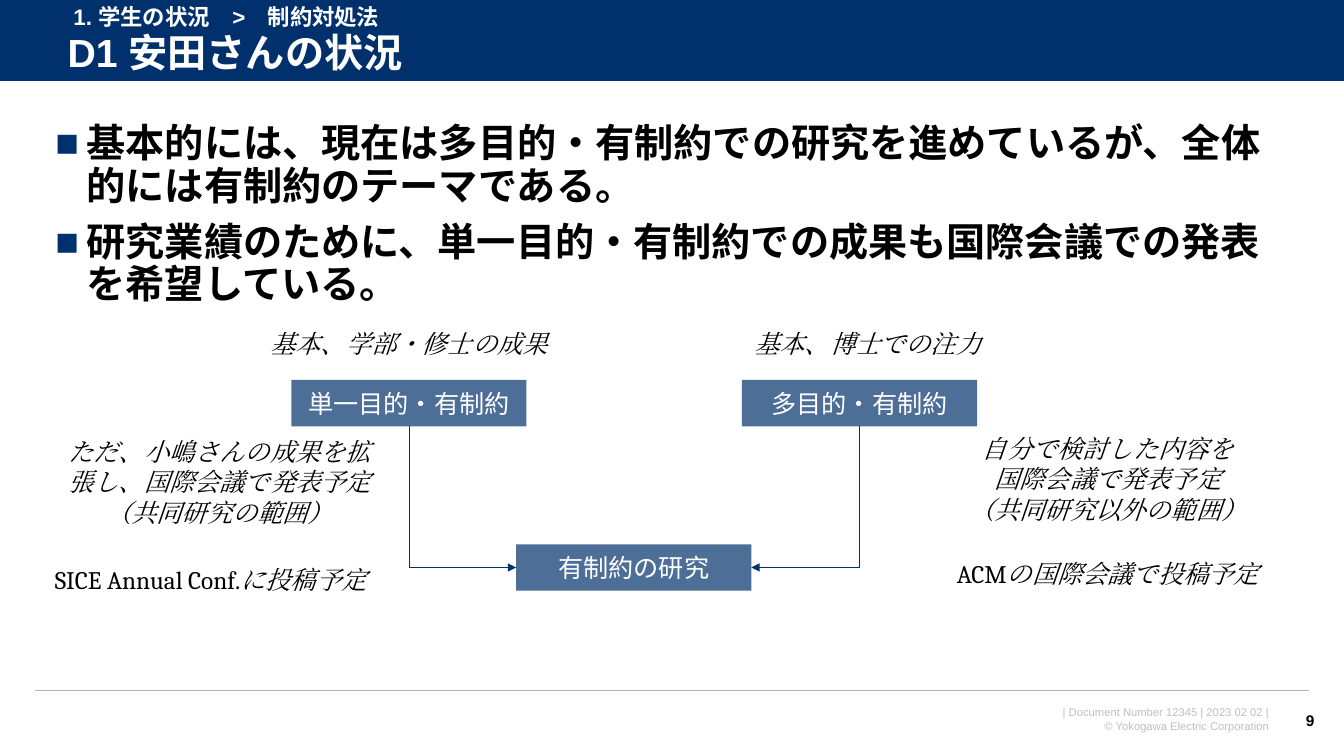
from lxml import etree
from pptx import Presentation
from pptx import util as u
from pptx.dml.color import RGBColor
from pptx.enum import shapes, text
from pptx.oxml import ns

NAVY = RGBColor(0x00, 0x31, 0x6C)
WHITE = RGBColor(0xFF, 0xFF, 0xFF)
BLACK = RGBColor(0, 0, 0)
RULE_GREY = RGBColor(0xB2, 0xB2, 0xB2)
FOOTER_GREY = RGBColor(0xBF, 0xBF, 0xBF)

# The slide is a grid of square cells, 40 columns by 22.5 rows
COLUMNS, ROWS = 40, 22.5
CELL = u.Inches(13.333) / COLUMNS
BOX_WIDTH, BOX_HEIGHT = 7, 1.38
NOTE_WIDTH, NOTE_ROW = 10.26, 1.2
CAPTION_WIDTH = 8.7


def grid(*cells):
    return [u.Emu(round(cell * CELL)) for cell in cells]


def add_xml(parent, tag, **attributes):
    return etree.SubElement(parent, ns.qn(tag), **attributes)


def add_bullet(paragraph, indent):
    properties = paragraph._p.get_or_add_pPr()
    properties.set("marL", str(indent))
    properties.set("indent", str(-indent))
    add_xml(add_xml(properties, "a:buClr"), "a:srgbClr", val=str(NAVY))
    add_xml(properties, "a:buFont", typeface="Arial")
    add_xml(properties, "a:buChar", char="■")


def write(shape, paragraphs, size=18, font="Arial", color=BLACK, bold=False,
          italic=False, align=text.PP_ALIGN.LEFT, anchor=text.MSO_ANCHOR.TOP,
          wrap=True, line_spacing=None, space_before=0, bullet=False):
    """Each paragraph is a string, or a list of (string, italic) runs."""
    frame = shape.text_frame
    frame.word_wrap = wrap
    frame.auto_size = text.MSO_AUTO_SIZE.NONE
    frame.vertical_anchor = anchor
    for index, content in enumerate(paragraphs):
        paragraph = frame.add_paragraph() if index else frame.paragraphs[0]
        if bullet:
            add_bullet(paragraph, u.Inches(0.31))
        paragraph.alignment = align
        paragraph.line_spacing = line_spacing
        paragraph.space_before = u.Pt(space_before if index else 0)
        runs = [(content, italic)] if isinstance(content, str) else content
        for words, slanted in runs:
            run = paragraph.add_run()
            run.text = words
            run.font.size = u.Pt(size)
            run.font.name = font
            run.font.color.rgb = color
            run.font.bold = bold
            run.font.italic = slanted
            # Japanese characters take the same font, which narrows the middle dot
            add_xml(run._r.get_or_add_rPr(), "a:ea", typeface=font)


def place(shape, *cells):
    shape.left, shape.top, shape.width, shape.height = grid(*cells)
    return shape


def add_text(slide, cells, paragraphs, **style):
    write(slide.shapes.add_textbox(*grid(*cells)), paragraphs, **style)


def add_note(slide, left, top, paragraphs, width=NOTE_WIDTH, wrap=True):
    add_text(slide, (left, top, width, NOTE_ROW * len(paragraphs)), paragraphs,
             font="Cambria", italic=True, align=text.PP_ALIGN.CENTER, wrap=wrap)


def add_rectangle(slide, *cells):
    shape = slide.shapes.add_shape(shapes.MSO_SHAPE.RECTANGLE, *grid(*cells))
    shape.shadow.inherit = False
    shape.fill.solid()
    shape.fill.fore_color.rgb = NAVY
    shape.line.fill.background()
    return shape


def add_topic(slide, left, top, label):
    topic = add_rectangle(slide, left, top, BOX_WIDTH, BOX_HEIGHT)
    color = topic.element.spPr.find(ns.qn("a:solidFill"))[0]
    add_xml(color, "a:alpha", val="70000")
    write(topic, [label], color=WHITE, align=text.PP_ALIGN.CENTER,
          anchor=text.MSO_ANCHOR.MIDDLE)
    return topic


def add_line(slide, ends, color, width, kind=shapes.MSO_CONNECTOR.STRAIGHT):
    line = slide.shapes.add_connector(kind, *ends)
    line.line.color.rgb = color
    line.line.width = u.Pt(width)
    add_xml(line.element.spPr, "a:effectLst")
    return line


def add_elbow_arrow(slide, source, target):
    """One bend: from the bottom of source to the facing side of target."""
    rightward = source.left < target.left
    start_x, start_y = source.left + source.width // 2, source.top + source.height
    end_x = target.left if rightward else target.left + target.width
    end_y = target.top + target.height // 2
    arrow = add_line(slide, (start_x, start_y, end_x, end_y), NAVY, 0.5,
                     shapes.MSO_CONNECTOR.ELBOW)
    arrow.begin_connect(source, 2)
    arrow.end_connect(target, 1 if rightward else 3)
    # A quarter turn swaps the frame's width and height around its centre
    across, down = abs(end_x - start_x), end_y - start_y
    arrow.left = u.Emu((start_x + end_x - down) // 2)
    arrow.top = u.Emu((start_y + end_y - across) // 2)
    arrow.width, arrow.height = u.Emu(down), u.Emu(across)
    properties = arrow.element.spPr
    frame = properties.find(ns.qn("a:xfrm"))
    frame.set("rot", str((270 if rightward else 90) * 60000))
    frame.set("flipH", "1" if rightward else "0")
    properties.find(ns.qn("a:prstGeom")).set("prst", "bentConnector2")
    add_xml(properties.find(ns.qn("a:ln")), "a:tailEnd", type="triangle")


def add_header(slide):
    title = slide.shapes.title
    band = add_rectangle(slide, 0, 0, COLUMNS, 2.43)
    edge = add_line(slide, grid(0, 2.43, COLUMNS, 2.43), WHITE, 0.75)
    for backdrop in (band, edge):
        title.element.addprevious(backdrop.element)
    write(place(title, 1.71, 0.78, 37.41, 1.71), ["D1 安田さんの状況"],
          size=28, color=WHITE, bold=True, line_spacing=0.9,
          anchor=text.MSO_ANCHOR.MIDDLE)
    add_text(slide, (1.89, -0.06, 14.85, 1.11), ["1. 学生の状況　>　制約対処法"],
             size=16, color=WHITE, bold=True)


def add_footer(slide):
    add_line(slide, grid(1.05, 20.55, 38.95, 20.55), RULE_GREY, 1)
    add_text(slide, (28.44, 20.85, 9.63, 1.11),
             ["| Document Number 12345 | 2023 02 02 |",
              "© Yokogawa Electric Corporation"],
             size=8, color=FOOTER_GREY, align=text.PP_ALIGN.RIGHT)
    add_text(slide, (38.1, 20.85, 1.32, 1.2), ["9"], size=11, bold=True,
             align=text.PP_ALIGN.RIGHT, anchor=text.MSO_ANCHOR.MIDDLE, wrap=False)


def add_diagram(slide):
    single = add_topic(slide, 8.67, 11.31, "単一目的・有制約")
    multiple = add_topic(slide, 22.08, 11.31, "多目的・有制約")
    research = add_topic(slide, 15.36, 16.2, "有制約の研究")
    for source in (single, multiple):
        add_elbow_arrow(slide, source, research)

    # One-line captions above the topics
    for left, caption in ((7.83, "基本、学部・修士の成果"), (21.48, "基本、博士での注力")):
        add_note(slide, left, 9.63, [caption], width=CAPTION_WIDTH, wrap=False)

    # Notes beside the arrows
    add_note(slide, 1.41, 12.84, ["ただ、小嶋さんの成果を拡張し、国際会議で発表予定",
                                  "（共同研究の範囲）"])
    add_note(slide, 1.14, 16.65, [[("SICE Annual Conf.", False), ("に投稿予定", True)]])
    add_note(slide, 27.84, 12.75, ["自分で検討した内容を", "国際会議で発表予定",
                                   "（共同研究以外の範囲）"])
    add_note(slide, 27.84, 16.47, [[("ACM", False), ("の国際会議で投稿予定", True)]])


def main():
    presentation = Presentation()
    presentation.slide_width, presentation.slide_height = grid(COLUMNS, ROWS)
    slide = presentation.slides.add_slide(presentation.slide_layouts[1])
    add_header(slide)
    write(place(slide.placeholders[1], 1.35, 3.54, 37.29, 1.71),
          ["基本的には、現在は多目的・有制約での研究を進めているが、全体的には有制約のテーマである。",
           "研究業績のために、単一目的・有制約での成果も国際会議での発表を希望している。"],
          size=28, bold=True, line_spacing=0.9, space_before=10, bullet=True)
    add_diagram(slide)
    add_footer(slide)
    presentation.save("out.pptx")


if __name__ == "__main__":
    main()
